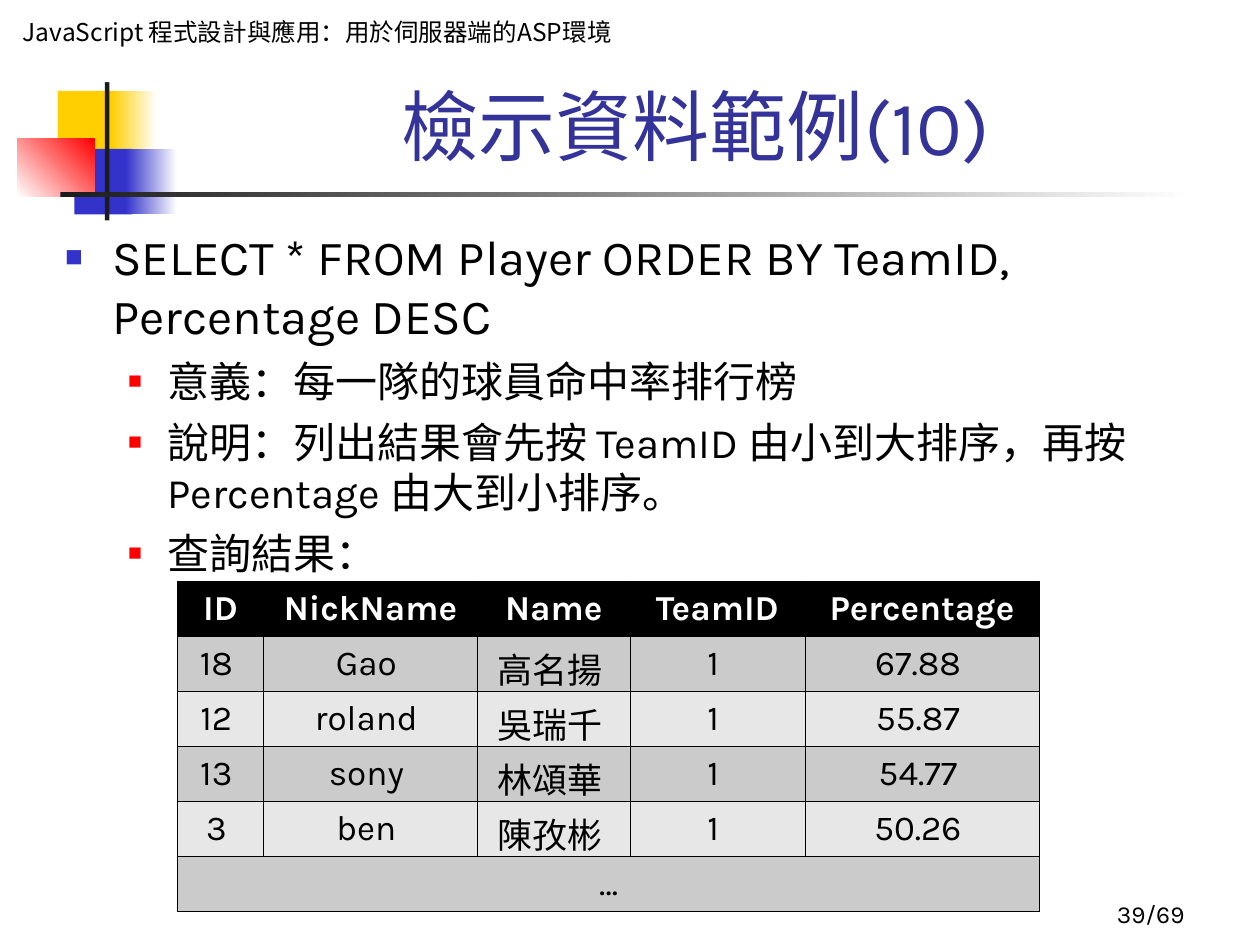
from lxml import etree
from pptx import Presentation
from pptx import util as u
from pptx.dml.color import RGBColor
from pptx.enum import shapes, text
from pptx.oxml import ns

Pt = u.Pt
LATIN, CJK = "Karla", "Noto Sans CJK SC"
NBSP = chr(160)  # every data value ends with a non-breaking space
COLORS = {
    "white": "FFFFFF", "black": "000000", "yellow": "FFCF01", "blue": "3333CC",
    "red": "FF0000", "ink": "1C1C1C", "title": "333399",
    "odd": "CBCBCB", "even": "E7E7E7",
}

# left, top, width, height, colour stops, angle (counter-clockwise)
DECORATIONS = [
    (33, 52, 34.5, 37.5, ["yellow"], 0),
    (63.5, 52, 26, 37.5, ["yellow", "white"], 0),
    (42.5, 85, 33, 37.5, ["blue"], 0),
    (72, 85, 29, 37.5, ["blue", "white"], 0),
    (10, 79, 44, 33.5, ["white", "red"], 45),
    (60, 43.5, 2.5, 82.5, ["ink"], 0),
    (34.5, 110, 648, 2.5, ["ink", "white"], 0),
]
POINTS = [
    (0, "SELECT * FROM Player ORDER BY TeamID, Percentage DESC"),
    (1, "意義：每一隊的球員命中率排行榜"),
    (1, "說明：列出結果會先按 TeamID 由小到大排序，再按 Percentage 由大到小排序。"),
    (1, "查詢結果："),
]
# size, line spacing, margin, hanging, bullet colour, bullet percent
LEVELS = [(28, 33.7, 27, 27, "blue", 60), (24, 28.8, 58.5, 22.5, "red", 55)]
HEADINGS = ["ID", "NickName", "Name", "TeamID", "Percentage"]
PLAYERS = [
    ("18", "Gao", "高名揚", "1", "67.88"),
    ("12", "roland", "吳瑞千", "1", "55.87"),
    ("13", "sony", "林頌華", "1", "54.77"),
    ("3", "ben", "陳孜彬", "1", "50.26"),
]
COLUMN_WIDTHS = [49, 122.5, 87, 100, 134]
ROW_HEIGHT = 31.5


def rgb(name):
    return RGBColor.from_string(COLORS[name])


def place(shape, left, top, width, height):
    shape.left, shape.top = Pt(left), Pt(top)
    shape.width, shape.height = Pt(width), Pt(height)


def format_runs(paragraph, size, color="black", font=LATIN, bold=False):
    for run in paragraph.runs:
        run.font.size, run.font.name, run.font.bold = Pt(size), font, bold
        run.font.color.rgb = rgb(color)


def add_block(slide, left, top, width, height, stops, angle=0):
    block = slide.shapes.add_shape(shapes.MSO_SHAPE.RECTANGLE,
                                   Pt(left), Pt(top), Pt(width), Pt(height))
    block.shadow.inherit = False
    block.line.fill.background()
    if len(stops) == 1:
        block.fill.solid()
        block.fill.fore_color.rgb = rgb(stops[0])
    else:
        block.fill.gradient()
        block.fill.gradient_angle = angle
        for position, (stop, color) in enumerate(zip(block.fill.gradient_stops, stops)):
            stop.position = position
            stop.color.rgb = rgb(color)
    return block


def add_course_header(slide):
    header = add_block(slide, 6, 6, 354, 41, ["white"])
    frame = header.text_frame
    frame.text = "JavaScript 程式設計與應用：用於伺服器端的ASP環境"
    frame.word_wrap = True
    frame.vertical_anchor = text.MSO_ANCHOR.TOP
    frame.auto_size = text.MSO_AUTO_SIZE.SHAPE_TO_FIT_TEXT
    line = frame.paragraphs[0]
    line.alignment = text.PP_ALIGN.LEFT
    line.line_spacing = Pt(17)
    format_runs(line, 14, font=CJK)


def fill_title(title):
    place(title, 91, 42, 613.5, 59.5)
    frame = title.text_frame
    frame.text = "檢示資料範例(10)"
    frame.auto_size = text.MSO_AUTO_SIZE.NONE
    frame.vertical_anchor = text.MSO_ANCHOR.BOTTOM
    frame.paragraphs[0].alignment = text.PP_ALIGN.CENTER
    format_runs(frame.paragraphs[0], 44, "title")


def set_bullet(paragraph, color, percent, margin, hanging):
    props = paragraph._p.get_or_add_pPr()
    props.set("marL", str(Pt(margin)))
    props.set("indent", str(-Pt(hanging)))
    bullet_color = etree.SubElement(props, ns.qn("a:buClr"))
    etree.SubElement(bullet_color, ns.qn("a:srgbClr"), val=COLORS[color])
    etree.SubElement(props, ns.qn("a:buSzPct"), val=str(percent * 1000))
    etree.SubElement(props, ns.qn("a:buChar"), char="■")


def fill_body(body):
    place(body, 30, 126, 675.5, 366)
    frame = body.text_frame
    frame.text = "\n".join(words for _, words in POINTS)
    frame.auto_size = text.MSO_AUTO_SIZE.NONE
    for index, (level, _) in enumerate(POINTS):
        size, spacing, margin, hanging, color, percent = LEVELS[level]
        point = frame.paragraphs[index]
        point.level = level
        set_bullet(point, color, percent, margin, hanging)
        point.space_before = Pt(6 if index else 0)
        point.line_spacing = Pt(spacing)
        format_runs(point, size)


def set_borders(cell):
    props = cell._tc.get_or_add_tcPr()
    for index, side in enumerate(("lnL", "lnR", "lnT", "lnB")):
        border = etree.Element(ns.qn(f"a:{side}"), w=str(Pt(0.45)))
        paint = etree.SubElement(border, ns.qn("a:solidFill"))
        etree.SubElement(paint, ns.qn("a:srgbClr"), val=COLORS["black"])
        props.insert(index, border)


def fill_cell(cell, words, fill, color="black", bold=False):
    cell.text_frame.text = words
    cell.vertical_anchor = text.MSO_ANCHOR.MIDDLE
    cell.fill.solid()
    cell.fill.fore_color.rgb = rgb(fill)
    set_borders(cell)
    line = cell.text_frame.paragraphs[0]
    line.alignment = text.PP_ALIGN.CENTER
    format_runs(line, 20, color, bold=bold)
    for run in line.runs:
        run.font._element.find(ns.qn("a:latin")).addnext(
            etree.Element(ns.qn("a:ea"), typeface=CJK))


def add_ranking(slide):
    rows = [[value + NBSP for value in player] for player in PLAYERS]
    rows = [HEADINGS] + rows + [["…"] + [""] * 4]
    ranking = slide.shapes.add_table(
        len(rows), len(HEADINGS), Pt(101.5), Pt(332),
        Pt(sum(COLUMN_WIDTHS)), Pt(ROW_HEIGHT * len(rows))).table
    for column, width in zip(ranking.columns, COLUMN_WIDTHS):
        column.width = Pt(width)
    for r, values in enumerate(rows):
        ranking.rows[r].height = Pt(ROW_HEIGHT)
        for c, value in enumerate(values):
            if r == 0:
                fill_cell(ranking.cell(r, c), value, "black", "white", True)
            else:
                fill_cell(ranking.cell(r, c), value, "odd" if r % 2 else "even")
    # The closing ellipsis runs across the whole table
    last = len(rows) - 1
    ranking.cell(last, 0).merge(ranking.cell(last, len(HEADINGS) - 1))


def add_page_number(slide):
    page = slide.shapes.add_textbox(Pt(534), Pt(498), Pt(150), Pt(36))
    frame = page.text_frame
    frame.text = "39/69"
    frame.word_wrap = True
    frame.vertical_anchor = text.MSO_ANCHOR.BOTTOM
    frame.paragraphs[0].alignment = text.PP_ALIGN.RIGHT
    format_runs(frame.paragraphs[0], 14)


def main():
    deck = Presentation()
    deck.slide_width, deck.slide_height = Pt(720), Pt(540)
    slide = deck.slides.add_slide(deck.slide_layouts[1])
    # Corner ornament and rule
    for decoration in DECORATIONS:
        add_block(slide, *decoration)
    # Header, title and list
    add_course_header(slide)
    fill_title(slide.shapes.title)
    fill_body(slide.placeholders[1])
    # Query result and page number
    add_ranking(slide)
    add_page_number(slide)
    deck.save("out.pptx")


if __name__ == "__main__":
    main()
